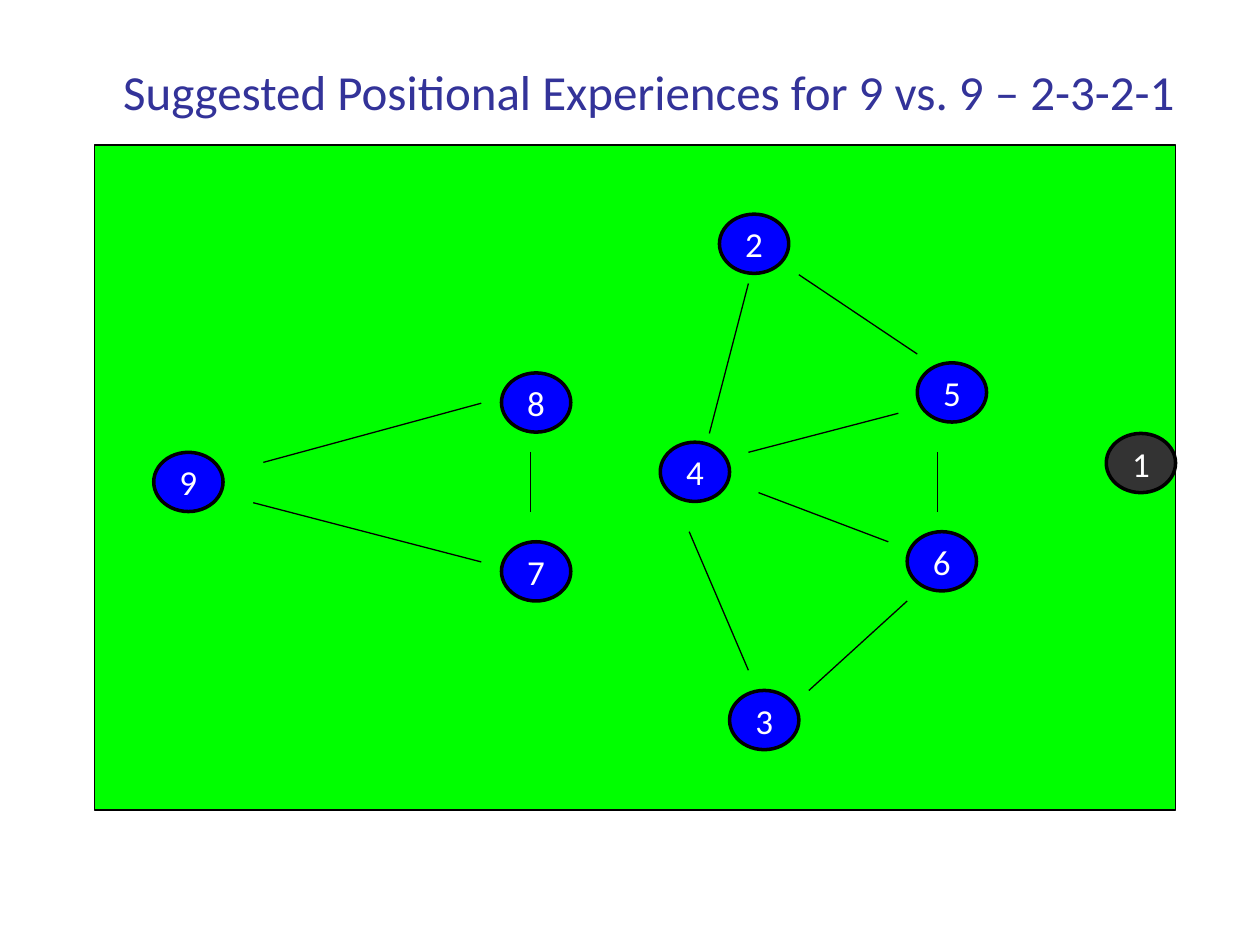
from pptx import Presentation
from pptx.dml.color import RGBColor
from pptx.enum.shapes import MSO_CONNECTOR, MSO_SHAPE
from pptx.enum.text import MSO_ANCHOR, MSO_AUTO_SIZE, PP_ALIGN
from pptx.util import Inches, Pt
from lxml import etree

RECTANGLE, OVAL = MSO_SHAPE.RECTANGLE, MSO_SHAPE.OVAL
STRAIGHT = MSO_CONNECTOR.STRAIGHT
CENTER = PP_ALIGN.CENTER
TOP, MIDDLE = MSO_ANCHOR.TOP, MSO_ANCHOR.MIDDLE
NO_AUTOFIT = MSO_AUTO_SIZE.NONE
DRAWING_NS = "http://schemas.openxmlformats.org/drawingml/2006/main"

FONT = "Calibri"
BLACK, WHITE, NAVY = "000000", "FFFFFF", "333399"
GRASS, TEAM_BLUE, KEEPER_GREY = "00FF00", "0000FF", "333333"
PLAYER_WIDTH, PLAYER_HEIGHT = 0.55, 0.47

# Left and top of each numbered player
PLAYERS = {
    2: (5.71, 1.7), 3: (5.79, 5.48), 4: (5.24, 3.51),
    5: (7.28, 2.88), 6: (7.2, 4.22), 7: (3.98, 4.3),
    1: (8.78, 3.44), 8: (3.98, 2.96), 9: (1.22, 3.59),
}
GOALKEEPER = 1

# Start and end of each link between players
LINKS = [
    ((3.82, 4.46), (2.01, 3.99)),  # 7 to 9
    ((2.09, 3.67), (3.82, 3.2)),   # 9 to 8
    ((4.21, 3.59), (4.21, 4.06)),  # 8 to 7
    ((5.94, 3.59), (7.13, 3.28)),  # 4 to 5
    ((6.02, 3.91), (7.05, 4.3)),   # 4 to 6
    ((7.44, 4.06), (7.44, 3.59)),  # 6 to 5
    ((7.28, 2.81), (6.34, 2.18)),  # 5 to 2
    ((5.94, 2.25), (5.63, 3.44)),  # 2 to 4
    ((5.47, 4.22), (5.94, 5.32)),  # 4 to 3
    ((6.42, 5.48), (7.2, 4.77)),   # 3 to 6
]


def color(hex_value):
    return RGBColor.from_string(hex_value)


def place(shape, left, top, width, height):
    shape.left, shape.top = Inches(left), Inches(top)
    shape.width, shape.height = Inches(width), Inches(height)


def write_text(shape, text, size, hex_value, anchor, wrap):
    frame = shape.text_frame
    frame.text = text
    frame.word_wrap = wrap
    frame.auto_size = NO_AUTOFIT
    frame.vertical_anchor = anchor
    para = frame.paragraphs[0]
    para.alignment = CENTER
    font = para.runs[0].font
    font.name, font.size = FONT, Pt(size)
    font.color.rgb = color(hex_value)


def set_line(line, width):
    line.color.rgb = color(BLACK)
    line.width = Pt(width)


def add_title(page, text):
    title = page.shapes.title
    place(title, 0.51, 0.44, 9.28, 0.57)
    write_text(title, text, 28, NAVY, TOP, True)


def add_outlined_shape(page, kind, bounds, fill, line_width):
    shape = page.shapes.add_shape(kind, *(Inches(value) for value in bounds))
    shape.shadow.inherit = False
    shape.fill.solid()
    shape.fill.fore_color.rgb = color(fill)
    set_line(shape.line, line_width)
    return shape


def add_player(page, number, left, top):
    fill = KEEPER_GREY if number == GOALKEEPER else TEAM_BLUE
    bounds = (left, top, PLAYER_WIDTH, PLAYER_HEIGHT)
    player = add_outlined_shape(page, OVAL, bounds, fill, 2)
    write_text(player, str(number), 20, WHITE, MIDDLE, False)


def add_link(page, start, end):
    points = (Inches(value) for value in start + end)
    link = page.shapes.add_connector(STRAIGHT, *points)
    set_line(link.line, 0.75)
    # An empty effect list removes the theme shadow
    properties = link._element.spPr
    etree.SubElement(properties, f"{{{DRAWING_NS}}}effectLst")


def main():
    deck = Presentation()
    deck.slide_width, deck.slide_height = Inches(10), Inches(7.5)
    page = deck.slides.add_slide(deck.slide_layouts[5])

    add_title(page, "Suggested Positional Experiences for 9 vs. 9 – 2-3-2-1")

    # Playing field, players and passing links
    add_outlined_shape(page, RECTANGLE, (0.75, 1.15, 8.58, 5.28), GRASS, 0.75)
    for number, (left, top) in PLAYERS.items():
        add_player(page, number, left, top)
    for start, end in LINKS:
        add_link(page, start, end)

    deck.save("out.pptx")


if __name__ == "__main__":
    main()
